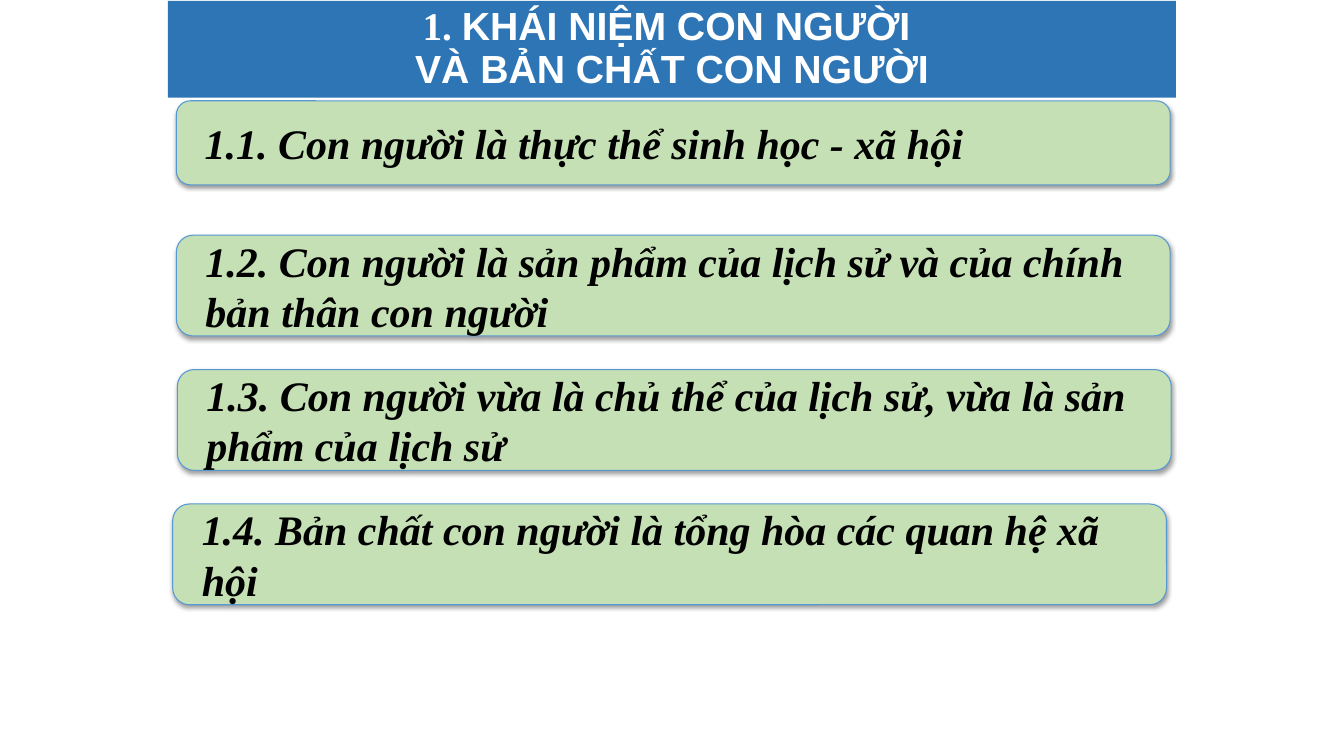
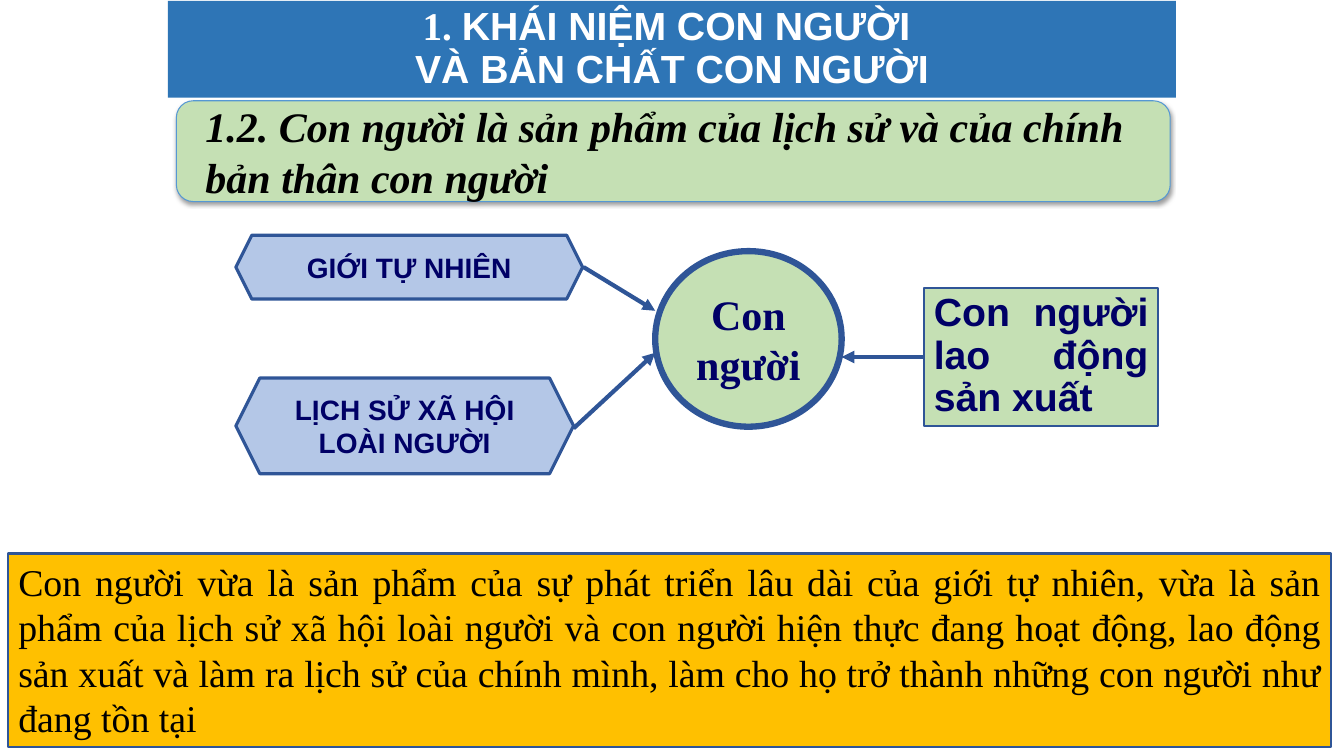
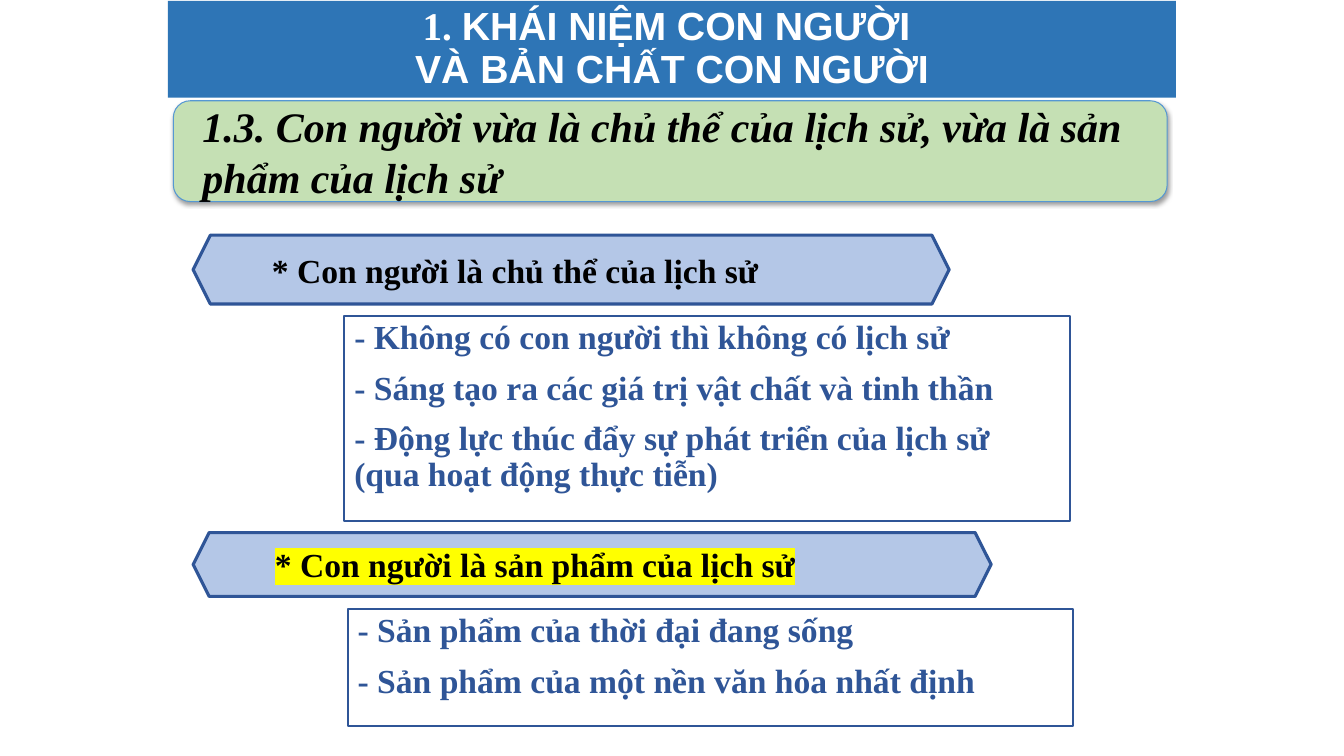
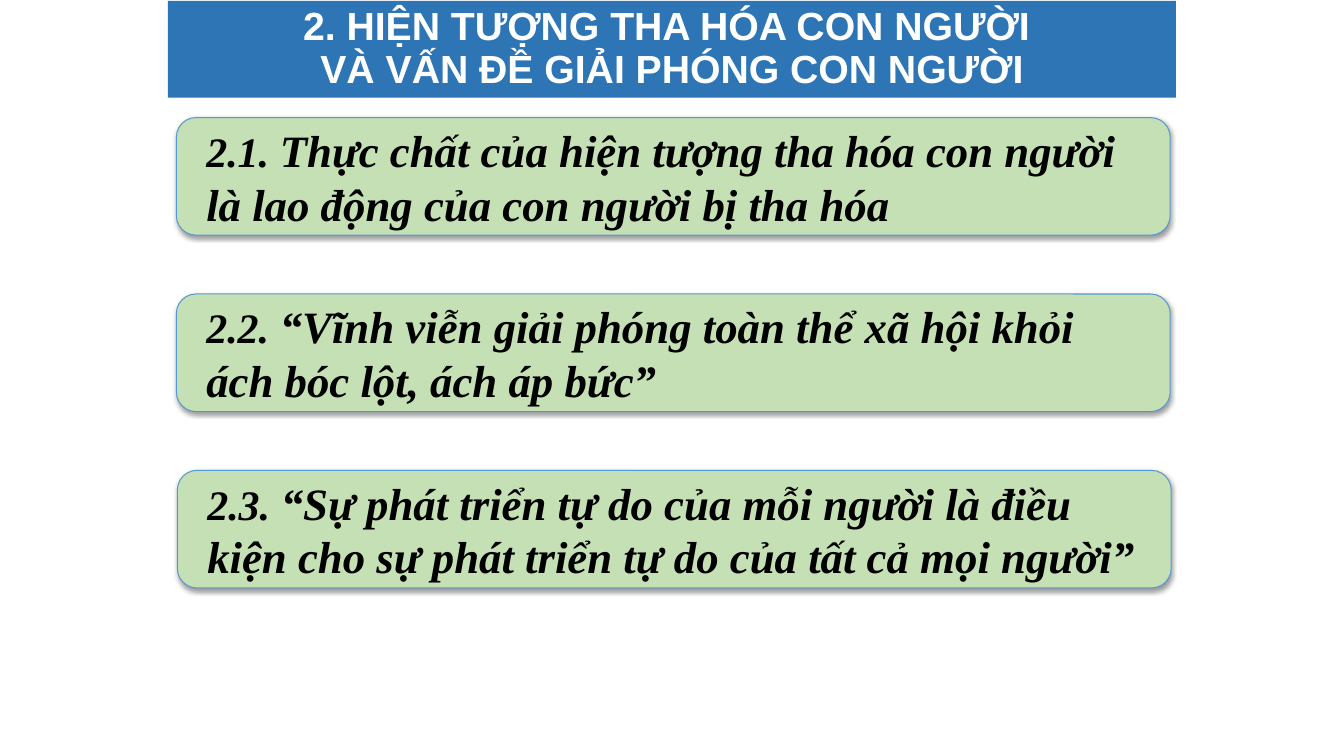
"""Build four slides on the concept of the human being and human alienation."""
from dataclasses import dataclass
from typing import NamedTuple, Optional, Sequence

from lxml.etree import SubElement
from pptx import Presentation
from pptx.dml.color import RGBColor
from pptx.enum.shapes import MSO_CONNECTOR, MSO_SHAPE
from pptx.enum.text import MSO_ANCHOR, PP_ALIGN
from pptx.oxml.ns import qn
from pptx.shapes.autoshape import Shape
from pptx.shapes.connector import Connector
from pptx.slide import Slide
from pptx.util import Inches, Pt

COLUMNS, ROWS = 80, 45
CELL = Inches(7.5) / ROWS


@dataclass(frozen=True)
class Theme:
    """Colours, fonts and type sizes of the deck."""

    band: RGBColor = RGBColor(0x2E, 0x75, 0xB6)
    card: RGBColor = RGBColor(0xC5, 0xE0, 0xB4)
    card_edge: RGBColor = RGBColor(0x56, 0x98, 0xD3)
    factor: RGBColor = RGBColor(0xB4, 0xC7, 0xE7)
    edge: RGBColor = RGBColor(0x2F, 0x55, 0x97)
    conclusion: RGBColor = RGBColor(0xFF, 0xC0, 0x00)
    navy: RGBColor = RGBColor(0x00, 0x00, 0x66)
    black: RGBColor = RGBColor(0, 0, 0)
    white: RGBColor = RGBColor(0xFF, 0xFF, 0xFF)
    marker: str = "FFFF00"
    sans: str = "Arial"
    serif: str = "Times New Roman"
    title_size: float = 28
    topic_size: float = 30
    large_topic_size: float = 32
    factor_size: float = 20
    point_size: float = 24
    conclusion_size: float = 27


THEME = Theme()


class Box(NamedTuple):
    """Place and size in grid cells."""

    left: float
    top: float
    width: float
    height: float


class Run(NamedTuple):
    """Text with its own font or size where it differs from its box."""

    text: str
    font: Optional[str] = None
    size: Optional[float] = None


class Topic(NamedTuple):
    """A numbered topic card; its left edge and top are in grid cells."""

    number: str
    text: str
    top: float
    left: float = 10.5
    height: float = 6
    size: float = THEME.topic_size


class Factor(NamedTuple):
    """A hexagon label with its place."""

    text: str
    box: Box


class Aspect(NamedTuple):
    """A heading hexagon and the box of points under it."""

    heading: Factor
    points: Sequence[str]
    points_box: Box
    highlight: Optional[str] = None


class Arrow(NamedTuple):
    """Start and end of an arrow in grid cells."""

    start: tuple[float, float]
    end: tuple[float, float]


Lines = Sequence[Sequence[Run]]

HUMAN_TITLE: Lines = (
    (Run("1. ", THEME.serif), Run("KHÁI NIỆM CON NGƯỜI ")),
    (Run("VÀ BẢN CHẤT CON NGƯỜI"),),
)
ALIENATION_TITLE: Lines = (
    (Run("2. HIỆN TƯỢNG THA HÓA CON NGƯỜI "),),
    (Run("VÀ VẤN ĐỀ GIẢI PHÓNG CON NGƯỜI"),),
)
PRODUCT_TOPIC = Topic("1.2. ", "Con người là sản phẩm của lịch sử và của chính bản thân con người", 14)
SUBJECT_TOPIC = Topic("1.3. ", "Con người vừa là chủ thể của lịch sử, vừa là sản phẩm của lịch sử", 22, left=10.56)
HUMAN_TOPICS = (
    Topic("1.1. ", "Con người là thực thể sinh học - xã hội", 6, height=5),
    PRODUCT_TOPIC,
    SUBJECT_TOPIC,
    Topic("1.4. ", "Bản chất con người là tổng hòa các quan hệ xã hội", 30, left=10.28),
)
ALIENATION_TOPICS = tuple(
    Topic(f"2.{index + 1}. ", text, 7 + 10.5 * index, left, 7, THEME.large_topic_size)
    for index, (text, left) in enumerate((
        ("Thực chất của hiện tượng tha hóa con người là lao động của con người bị tha hóa", 10.5),
        ("“Vĩnh viễn giải phóng toàn thể xã hội khỏi ách bóc lột, ách áp bức”", 10.5),
        ("“Sự phát triển tự do của mỗi người là điều kiện cho sự phát triển tự do của tất cả mọi người”", 10.56),
    ))
)
FACTORS = (
    Factor("LỊCH SỬ XÃ HỘI LOÀI NGƯỜI", Box(14.04, 22.5, 20.1, 5.7)),
    Factor("GIỚI TỰ NHIÊN", Box(14.04, 14, 20.64, 3.8)),
)
FACTOR_ARROWS = (
    Arrow((34.74, 15.9), (39, 18.5)),
    Arrow((34.14, 25.5), (39, 21)),
)
ASPECTS = (
    Aspect(
        Factor("* Con người là chủ thể của lịch sử", Box(11.5, 14, 45, 4.1)),
        (
            "- Không có con người thì không có lịch sử",
            "- Sáng tạo ra các giá trị vật chất và tinh thần",
            "- Động lực thúc đẩy sự phát triển của lịch sử (qua hoạt động thực tiễn)",
        ),
        Box(20.5, 18.8, 43.2, 12.24),
    ),
    Aspect(
        Factor("* Con người là sản phẩm của lịch sử", Box(11.5, 31.7, 47.5, 3.8)),
        ("- Sản phẩm của thời đại đang sống", "- Sản phẩm của một nền văn hóa nhất định"),
        Box(20.7, 36.24, 43.2, 7),
        THEME.marker,
    ),
)
CONCLUSION = (
    "Con người vừa là sản phẩm của sự phát triển lâu dài của giới tự nhiên, vừa là sản phẩm của "
    "lịch sử xã hội loài người và con người hiện thực đang hoạt động, lao động sản xuất và làm ra "
    "lịch sử của chính mình, làm cho họ trở thành những con người như đang tồn tại"
)


def cells(count: float) -> int:
    """Turn grid cells into slide units."""
    return round(count * CELL)


def draw(
    slide: Slide, preset: MSO_SHAPE, box: Box, fill: Optional[RGBColor] = None,
    edge: Optional[RGBColor] = None, weight: float = 1.5,
) -> Shape:
    """Add a preset shape with a plain fill and edge."""
    shape = slide.shapes.add_shape(preset, *map(cells, box))
    shape.shadow.inherit = False
    if fill is None:
        shape.fill.background()
    else:
        shape.fill.solid()
        shape.fill.fore_color.rgb = fill
    if edge is None:
        shape.line.fill.background()
    else:
        shape.line.color.rgb = edge
        shape.line.width = Pt(weight)
    return shape


def write(
    shape: Shape, lines: Lines, *, size: float, font: str = THEME.serif,
    color: RGBColor = THEME.black, bold: bool = True, italic: bool = False,
    align: PP_ALIGN = PP_ALIGN.LEFT, anchor: MSO_ANCHOR = MSO_ANCHOR.MIDDLE,
    spacing: Optional[float] = None, gap: float = 0, highlight: Optional[str] = None,
) -> None:
    """Write paragraphs of runs into a shape."""
    frame = shape.text_frame
    frame.word_wrap = True
    frame.vertical_anchor = anchor
    for index, line in enumerate(lines):
        paragraph = frame.add_paragraph() if index else frame.paragraphs[0]
        paragraph.alignment = align
        if spacing:
            paragraph.line_spacing = spacing
        if index and gap:
            paragraph.space_before = Pt(gap)
        for part in line:
            run = paragraph.add_run()
            run.text = part.text
            run.font.name = part.font or font
            run.font.size = Pt(part.size or size)
            run.font.bold, run.font.italic = bold, italic
            run.font.color.rgb = color
            if highlight:
                properties = run.font._element
                marker = SubElement(properties, qn("a:highlight"))
                SubElement(marker, qn("a:srgbClr"), val=highlight)
                properties.find(qn("a:solidFill")).addnext(marker)


def add_soft_shadow(shape: Shape) -> None:
    """Put a soft shadow under a shape."""
    effects = shape._element.spPr.find(qn("a:effectLst"))
    shadow = SubElement(effects, qn("a:outerShdw"), blurRad="40000", dist="20000", dir="5400000", rotWithShape="0")
    shade = SubElement(shadow, qn("a:srgbClr"), val="000000")
    SubElement(shade, qn("a:alpha"), val="38000")


def add_title(slide: Slide, lines: Lines) -> None:
    """Add the title band."""
    band = draw(slide, MSO_SHAPE.RECTANGLE, Box(10, 0.06, 60, 5.76), THEME.band)
    write(band, lines, size=THEME.title_size, font=THEME.sans, color=THEME.white,
          align=PP_ALIGN.CENTER, spacing=0.9)


def add_topic(slide: Slide, topic: Topic) -> None:
    """Add a topic card."""
    card = draw(slide, MSO_SHAPE.ROUNDED_RECTANGLE, Box(topic.left, topic.top, 59.16, topic.height),
                THEME.card, THEME.card_edge, 0.75)
    add_soft_shadow(card)
    frame = card.text_frame
    frame.margin_left = frame.margin_right = Inches(0.24)
    frame.margin_top = frame.margin_bottom = 0
    write(card, [[Run(topic.number, size=THEME.topic_size), Run(topic.text)]], size=topic.size, italic=True)


def add_hexagon(slide: Slide, box: Box) -> Shape:
    """Add an empty hexagon label."""
    return draw(slide, MSO_SHAPE.HEXAGON, box, THEME.factor, THEME.edge, 2.25)


def add_arrow(slide: Slide, arrow: Arrow) -> Connector:
    """Add a straight arrow."""
    connector = slide.shapes.add_connector(MSO_CONNECTOR.STRAIGHT, *map(cells, (*arrow.start, *arrow.end)))
    connector.line.color.rgb = THEME.edge
    connector.line.width = Pt(3)
    SubElement(connector.line._get_or_add_ln(), qn("a:tailEnd"), type="triangle")
    SubElement(connector._element.spPr, qn("a:effectLst"))
    return connector


def add_origin_diagram(slide: Slide) -> None:
    """Show what makes the human being, with the conclusion below."""
    for factor in FACTORS:
        write(add_hexagon(slide, factor.box), [[Run(factor.text)]], size=THEME.factor_size,
              font=THEME.sans, color=THEME.navy, align=PP_ALIGN.CENTER)
    labour = draw(slide, MSO_SHAPE.RECTANGLE, Box(55, 17.15, 13.95, 8.2), THEME.card, THEME.edge)
    write(labour, [[Run("Con người lao động sản xuất")]], size=THEME.title_size, font=THEME.sans,
          color=THEME.navy, align=PP_ALIGN.JUSTIFY, anchor=MSO_ANCHOR.TOP, spacing=0.9)
    human = draw(slide, MSO_SHAPE.OVAL, Box(39, 14.95, 11.1, 10.45), THEME.card, THEME.edge, 4.5)
    write(human, [[Run("Con người")]], size=THEME.topic_size, color=THEME.navy, align=PP_ALIGN.CENTER)
    for arrow in FACTOR_ARROWS:
        add_arrow(slide, arrow)
    add_arrow(slide, Arrow((55, 21.25), (50.1, 21.25))).begin_connect(labour, 1)
    conclusion = draw(slide, MSO_SHAPE.RECTANGLE, Box(0.5, 32.95, 78.75, 11.5), THEME.conclusion, THEME.edge)
    write(conclusion, [[Run(CONCLUSION)]], size=THEME.conclusion_size, bold=False,
          align=PP_ALIGN.JUSTIFY, anchor=MSO_ANCHOR.TOP)


def add_aspect(slide: Slide, aspect: Aspect) -> None:
    """Add a heading hexagon and its points."""
    write(add_hexagon(slide, aspect.heading.box), [[Run(aspect.heading.text)]],
          size=THEME.point_size, highlight=aspect.highlight)
    points = draw(slide, MSO_SHAPE.RECTANGLE, aspect.points_box, edge=THEME.edge)
    write(points, [[Run(point)] for point in aspect.points], size=THEME.point_size, color=THEME.edge,
          anchor=MSO_ANCHOR.TOP, spacing=0.9, gap=10)


def main() -> None:
    """Build and save the deck."""
    deck = Presentation()
    deck.slide_width, deck.slide_height = cells(COLUMNS), cells(ROWS)
    outlines = (
        (HUMAN_TITLE, HUMAN_TOPICS),
        (HUMAN_TITLE, (PRODUCT_TOPIC._replace(top=6),)),
        (HUMAN_TITLE, (SUBJECT_TOPIC._replace(top=6, left=10.32),)),
        (ALIENATION_TITLE, ALIENATION_TOPICS),
    )
    slides = []
    for title, topics in outlines:
        slide = deck.slides.add_slide(deck.slide_layouts[6])
        add_title(slide, title)
        for topic in topics:
            add_topic(slide, topic)
        slides.append(slide)
    add_origin_diagram(slides[1])
    for aspect in ASPECTS:
        add_aspect(slides[2], aspect)
    deck.save("out.pptx")


if __name__ == "__main__":
    main()
